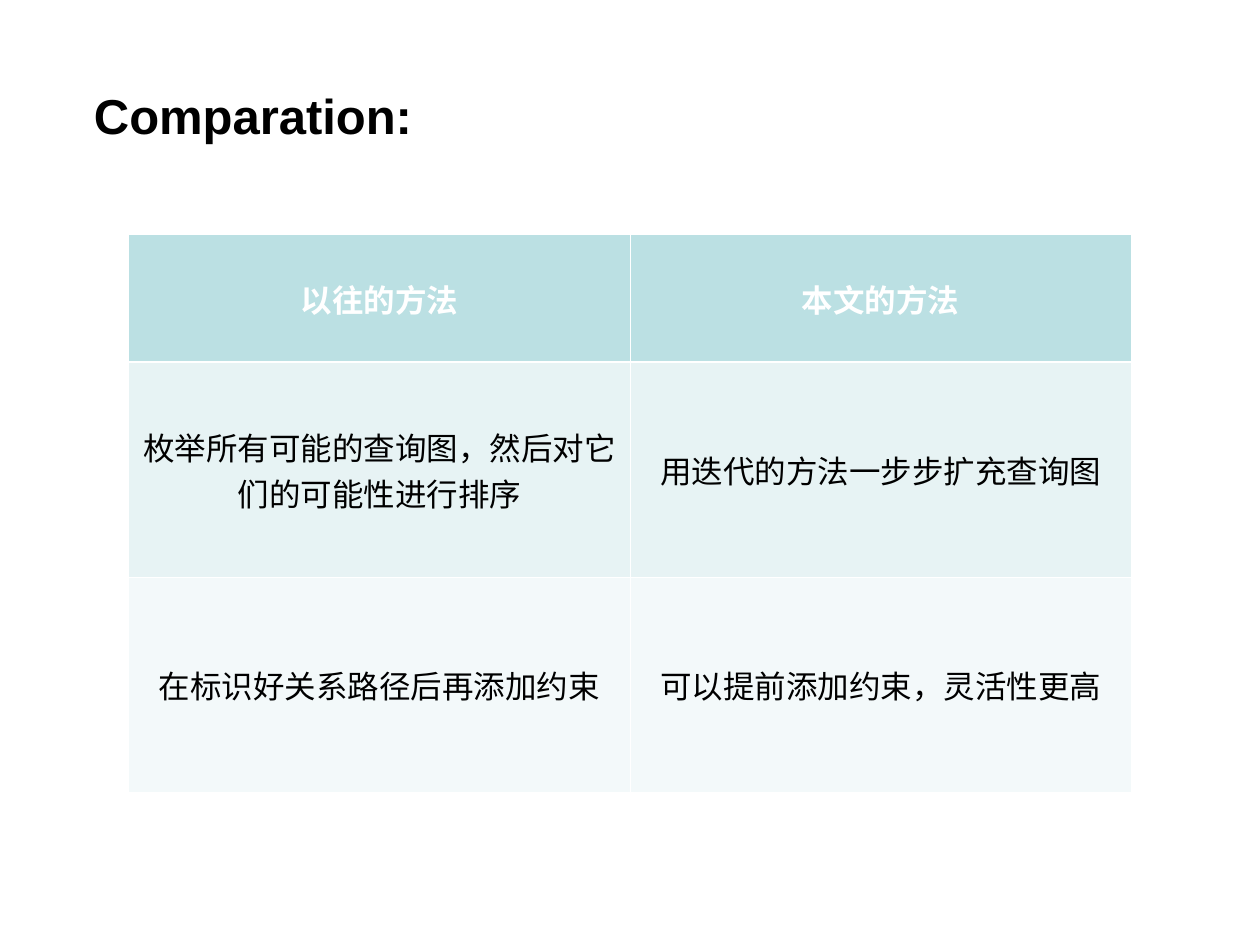
from pptx import Presentation
from pptx.dml.color import RGBColor
from pptx.enum.text import MSO_ANCHOR, MSO_AUTO_SIZE, PP_ALIGN
from pptx.oxml.ns import qn
from pptx.util import Pt
from lxml import etree

TOP, MIDDLE = MSO_ANCHOR.TOP, MSO_ANCHOR.MIDDLE
LEFT, CENTER = PP_ALIGN.LEFT, PP_ALIGN.CENTER
NO_AUTOFIT = MSO_AUTO_SIZE.NONE

COLORS = {
    "text": "000000",
    "header_text": "FFFFFF",
    "border": "FFFFFF",
    "header": "BBE0E3",
    "first_row": "E7F3F4",
    "second_row": "F3F9FA",
}
ROW_FILLS = ["header", "first_row", "second_row"]
ROW_HEIGHTS = [73, 123, 123]
THIN, THICK = 0.45, 1.47
METHODS = [
    ["以往的方法", "本文的方法"],
    ["枚举所有可能的查询图，然后对它们的可能性进行排序", "用迭代的方法一步步扩充查询图"],
    ["在标识好关系路径后再添加约束", "可以提前添加约束，灵活性更高"],
]


def format_paragraph(paragraph, size, color, bold, align):
    paragraph.alignment = align
    font = paragraph.font
    font.name = "Arial"
    font.size = Pt(size)
    font.bold = bold
    font.color.rgb = RGBColor.from_string(COLORS[color])


def add_borders(cell, top, bottom):
    properties = cell._tc.get_or_add_tcPr()
    widths = {"a:lnL": THIN, "a:lnR": THIN, "a:lnT": top, "a:lnB": bottom}
    for tag, width in widths.items():
        line = etree.SubElement(properties, qn(tag), w=str(int(Pt(width))))
        fill = etree.SubElement(line, qn("a:solidFill"))
        etree.SubElement(fill, qn("a:srgbClr"), val=COLORS["border"])


def place_heading(slide, left, top, width, height):
    heading = slide.shapes.title
    heading.left, heading.top = Pt(left), Pt(top)
    heading.width, heading.height = Pt(width), Pt(height)
    frame = heading.text_frame
    frame.text = "Comparation:"
    frame.word_wrap = True
    frame.auto_size = NO_AUTOFIT
    frame.vertical_anchor = TOP
    format_paragraph(frame.paragraphs[0], 28, "text", True, LEFT)


def place_comparison(slide, left, top, width, height):
    comparison = slide.shapes.add_table(
        len(METHODS), len(METHODS[0]), Pt(left), Pt(top), Pt(width), Pt(height)
    ).table
    for row_index, row_texts in enumerate(METHODS):
        comparison.rows[row_index].height = Pt(ROW_HEIGHTS[row_index])
        is_header = row_index == 0
        for column_index, method in enumerate(row_texts):
            cell = comparison.cell(row_index, column_index)
            cell.text = method
            cell.vertical_anchor = MIDDLE
            add_borders(
                cell,
                THICK if row_index == 1 else THIN,
                THICK if is_header else THIN,
            )
            cell.fill.solid()
            cell.fill.fore_color.rgb = RGBColor.from_string(COLORS[ROW_FILLS[row_index]])
            format_paragraph(
                cell.text_frame.paragraphs[0],
                18,
                "header_text" if is_header else "text",
                is_header,
                CENTER,
            )


def main():
    presentation = Presentation()
    presentation.slide_width, presentation.slide_height = Pt(720), Pt(540)
    slide = presentation.slides.add_slide(presentation.slide_layouts[5])
    place_heading(slide, 46.5, 45.5, 461, 41)
    place_comparison(slide, 73.5, 134, 573, sum(ROW_HEIGHTS))
    presentation.save("out.pptx")


if __name__ == "__main__":
    main()
